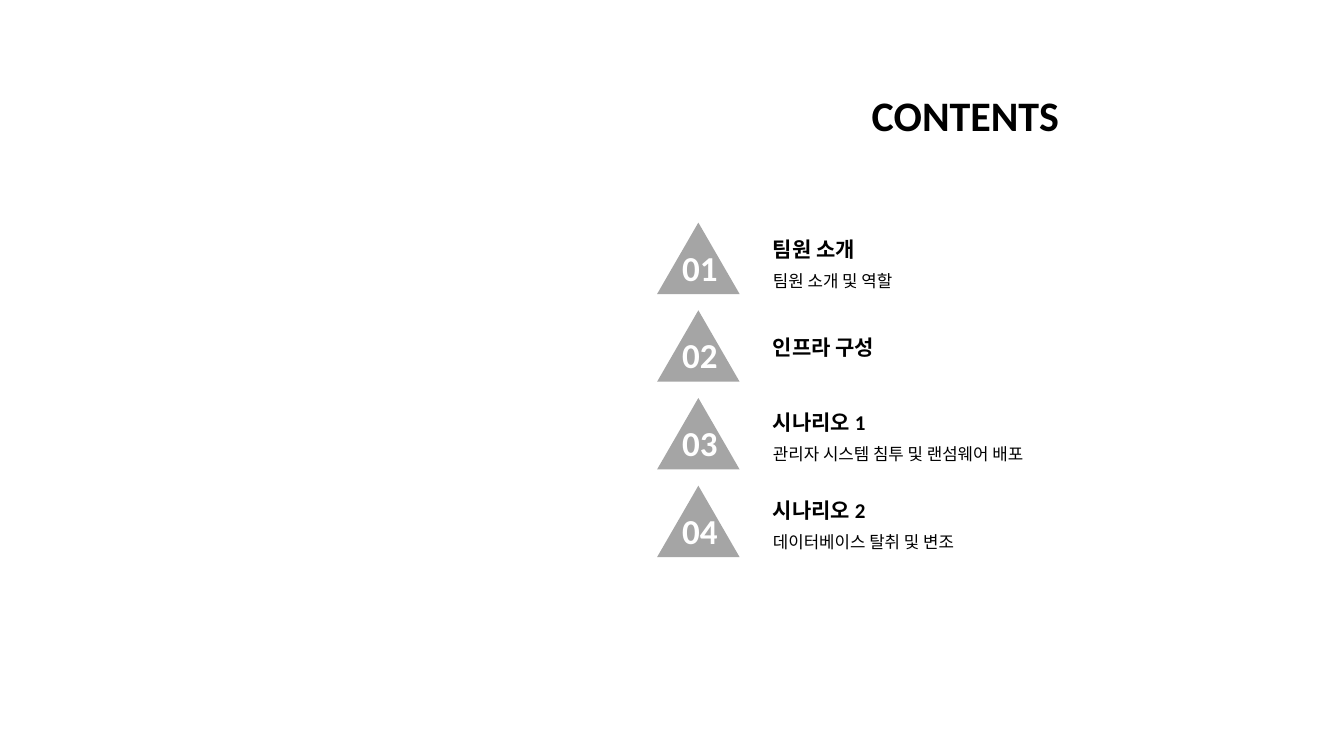
from dataclasses import dataclass

from pptx import Presentation
from pptx.dml.color import RGBColor
from pptx.enum.shapes import MSO_SHAPE
from pptx.enum.text import MSO_ANCHOR, MSO_AUTO_SIZE, PP_ALIGN
from pptx.util import Cm, Pt


@dataclass
class Theme:
    font: str = "Calibri"
    text: RGBColor = RGBColor(0x00, 0x00, 0x00)
    marker: RGBColor = RGBColor(0xA5, 0xA5, 0xA5)
    number: RGBColor = RGBColor(0xFF, 0xFF, 0xFF)
    title_size: int = 30
    number_size: int = 25
    heading_size: int = 15
    detail_size: int = 12


theme = Theme()


def add_text(shapes, text, left, top, width, height, size, color=theme.text,
             bold=True, align=PP_ALIGN.LEFT):
    box = shapes.add_textbox(Cm(left), Cm(top), Cm(width), Cm(height))
    text_frame = box.text_frame
    text_frame.text = text
    text_frame.word_wrap = True
    text_frame.auto_size = MSO_AUTO_SIZE.SHAPE_TO_FIT_TEXT
    paragraph = text_frame.paragraphs[0]
    paragraph.alignment = align
    font = paragraph.runs[0].font
    font.name = theme.font
    font.size = Pt(size)
    font.bold = bold
    font.color.rgb = color
    return text_frame


presentation = Presentation()
presentation.slide_width = Cm(33.87)
presentation.slide_height = Cm(19.05)
slide = presentation.slides.add_slide(presentation.slide_layouts[6])

# Title
add_text(slide.shapes, "CONTENTS", 21.13, 2.13, 6.4, 1.55, theme.title_size,
         align=PP_ALIGN.CENTER)

# Agenda: heading, detail line, drop of the heading below the triangle's tip
agenda = [
    ("팀원 소개", "팀원 소개 및 역할", 0.23),
    ("인프라 구성", None, 0.48),
    ("시나리오 1", "관리자 시스템 침투 및 랜섬웨어 배포", 0.17),
    ("시나리오 2", "데이터베이스 탈취 및 변조", 0.16),
]
first_top, row_pitch = 5.61, 2.21
text_left = 19.23

for index, (heading, detail, heading_drop) in enumerate(agenda):
    top = first_top + index * row_pitch
    row = slide.shapes.add_group_shape()

    # Numbered triangle
    triangle = row.shapes.add_shape(MSO_SHAPE.ISOSCELES_TRIANGLE,
                                    Cm(16.56), Cm(top), Cm(2.08), Cm(1.8))
    triangle.shadow.inherit = False
    triangle.fill.solid()
    triangle.fill.fore_color.rgb = theme.marker
    triangle.line.fill.background()
    add_text(row.shapes, f"{index + 1:02d}", 16.84, top + 0.47, 1.6, 1.32,
             theme.number_size, theme.number, align=PP_ALIGN.CENTER)

    # Heading and detail line
    heading_top = top + heading_drop
    add_text(row.shapes, heading, text_left, heading_top, 12.85, 0.89,
             theme.heading_size)
    if detail:
        text_frame = add_text(row.shapes, detail, text_left, heading_top + 0.84,
                              12.75, 0.76, theme.detail_size, bold=False)
        text_frame.vertical_anchor = MSO_ANCHOR.MIDDLE
        text_frame.paragraphs[0].line_spacing = 1.09

presentation.save("out.pptx")
